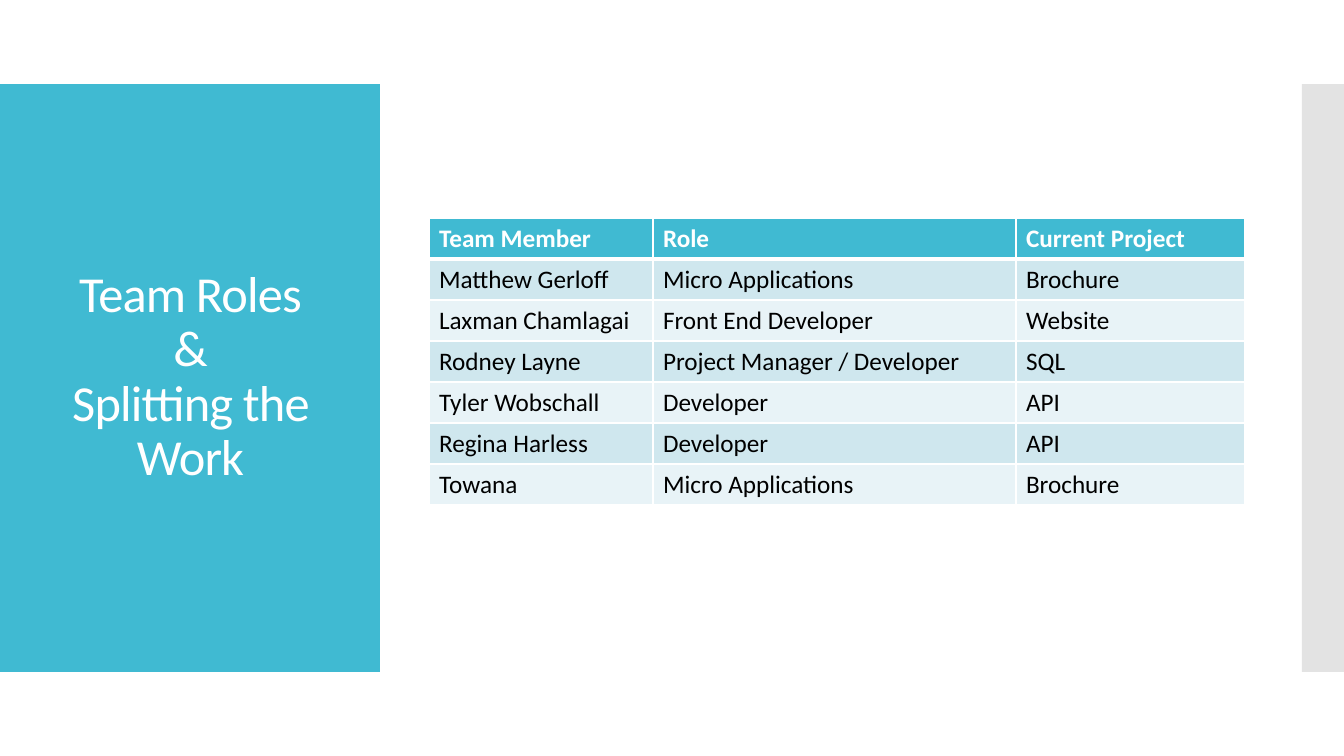
from lxml import etree
from pptx import Presentation
from pptx.dml.color import RGBColor
from pptx.enum.shapes import MSO_SHAPE
from pptx.enum.text import MSO_ANCHOR, PP_ALIGN
from pptx.oxml.ns import qn
from pptx.util import Emu, Pt

RECTANGLE = MSO_SHAPE.RECTANGLE
MIDDLE = MSO_ANCHOR.MIDDLE
CENTER = PP_ALIGN.CENTER
TITLE_ONLY = 5

FONT = "Calibri"
TEAL, WHITE, BLACK, GREY = "40BAD2", "FFFFFF", "000000", "C8C8C8"
BANDS = ("CFE7EE", "E8F3F7")

COLUMN_WIDTHS = (224, 363, 229)
ROW_HEIGHT = 41
TEAM = (
    ("Team Member", "Role", "Current Project"),
    ("Matthew Gerloff", "Micro Applications", "Brochure"),
    ("Laxman Chamlagai", "Front End Developer", "Website"),
    ("Rodney Layne", "Project Manager / Developer", "SQL"),
    ("Tyler Wobschall", "Developer", "API"),
    ("Regina Harless", "Developer", "API"),
    ("Towana", "Micro Applications", "Brochure"),
)


def px(length):
    return Emu(round(length * 914400 / 100.8))


def color(value):
    return RGBColor.from_string(value)


def style_font(font, size, value, bold=False):
    font.name = FONT
    font.size = Pt(size)
    font.bold = bold
    font.color.rgb = color(value)


def add_panel(page, left, top, width, height, fill, opacity=100):
    panel = page.shapes.add_shape(RECTANGLE, px(left), px(top), px(width), px(height))
    panel.shadow.inherit = False
    panel.line.fill.background()
    panel.fill.solid()
    panel.fill.fore_color.rgb = color(fill)
    if opacity < 100:
        tint = panel._element.spPr.find(".//" + qn("a:srgbClr"))
        etree.SubElement(tint, qn("a:alpha"), val=str(opacity * 1000))


def set_title(page, text, left, top, width, height):
    title = page.shapes.title
    title.left, title.top = px(left), px(top)
    title.width, title.height = px(width), px(height)
    frame = title.text_frame
    frame.word_wrap = True
    frame.vertical_anchor = MIDDLE
    frame.text = text
    para = frame.paragraphs[0]
    para.alignment = CENTER
    para.line_spacing = 0.9
    style_font(para.font, 36, WHITE)
    para.font._element.set("spc", "-60")
    # Bring the title in front of the panels
    page.shapes._spTree.append(title._element)


def set_borders(cell, bottom_width):
    properties = cell._tc.get_or_add_tcPr()
    widths = {"a:lnL": 1, "a:lnR": 1, "a:lnT": 1, "a:lnB": bottom_width}
    for position, (side, width) in enumerate(widths.items()):
        line = etree.Element(qn(side), w=str(Pt(width)))
        fill = etree.SubElement(line, qn("a:solidFill"))
        etree.SubElement(fill, qn("a:srgbClr"), val=WHITE)
        properties.insert(position, line)


def format_cell(cell, text, row):
    header = row == 0
    cell.text = text
    cell.fill.solid()
    cell.fill.fore_color.rgb = color(TEAL if header else BANDS[(row - 1) % 2])
    style_font(cell.text_frame.paragraphs[0].font, 18, WHITE if header else BLACK, header)
    set_borders(cell, 3 if header else 1)


def add_team_table(page, left, top):
    frame = page.shapes.add_table(
        len(TEAM), len(COLUMN_WIDTHS), px(left), px(top),
        px(sum(COLUMN_WIDTHS)), px(ROW_HEIGHT * len(TEAM)))
    table = frame.table
    for column, width in zip(table.columns, COLUMN_WIDTHS):
        column.width = px(width)
    for row, texts in enumerate(TEAM):
        table.rows[row].height = px(ROW_HEIGHT)
        for column, text in enumerate(texts):
            format_cell(table.cell(row, column), text, row)


def main():
    deck = Presentation()
    deck.slide_width, deck.slide_height = px(1344), px(756)
    page = deck.slides.add_slide(deck.slide_layouts[TITLE_ONLY])

    # Side panels
    add_panel(page, 0, 84, 380, 588, TEAL)
    add_panel(page, 1302, 84, 42, 588, GREY, opacity=50)

    # Title and team table
    set_title(page, "Team Roles\v&\vSplitting the Work", 28, 124, 325, 507)
    add_team_table(page, 429, 218)

    deck.save("out.pptx")


if __name__ == "__main__":
    main()
